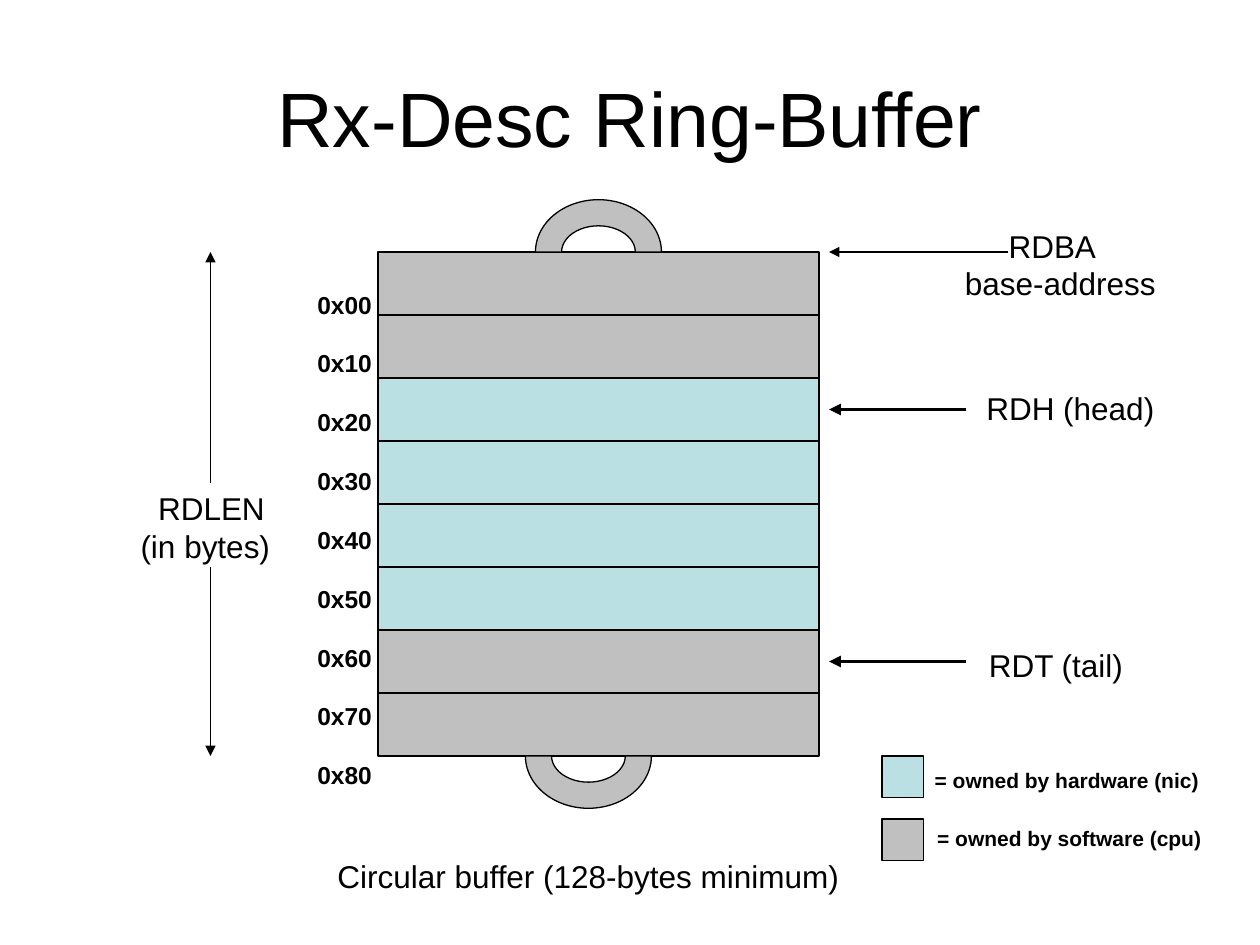
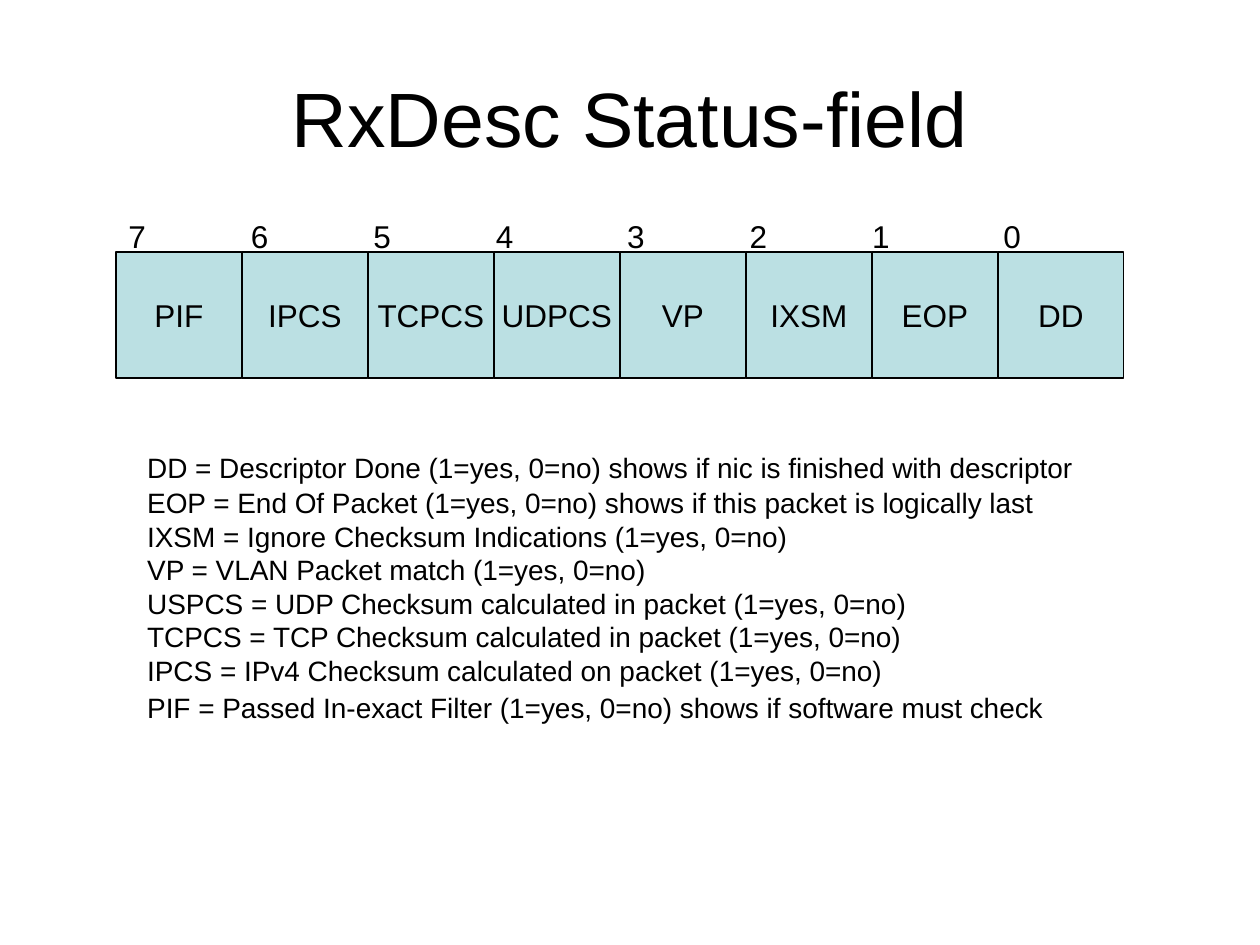
from itertools import accumulate
from lxml.etree import SubElement
from pptx import Presentation
from pptx.dml.color import RGBColor
from pptx.enum.shapes import MSO_CONNECTOR, MSO_SHAPE
from pptx.enum.text import MSO_ANCHOR, MSO_AUTO_SIZE, PP_ALIGN
from pptx.oxml.ns import qn
from pptx.util import Inches, Pt

# Shared style
COLORS = {"ink": "000000", "hardware": "BBE0E3", "software": "C0C0C0"}
FONT = "Arial"
WIDTH, HEIGHT = 10, 7.5
TITLE_BOX = (0.05 * WIDTH, 0.04 * HEIGHT, 0.9 * WIDTH, 1.25)

# Ring buffer: content
RING_TITLE = "Rx-Desc Ring-Buffer"
OWNERS = ["software"] * 2 + ["hardware"] * 4 + ["software"] * 2
OFFSETS = [f"0x{row}0" for row in range(len(OWNERS) + 1)]
RING_LEFT, RING_TOP, RING_WIDTH, ROW = 3, 2, 3.5, 0.5
RING_BOTTOM = RING_TOP + ROW * len(OWNERS)
ARC_WIDTH, ARC_HEIGHT = 1, 0.83
ARCS = [(4.25, RING_TOP, 0), (4.17, RING_BOTTOM, 180)]  # left, middle, rotation
POINTER_END, LENGTH_X = 6.58, 1.67
ARROWS = [  # start, end, line width
    ((8, RING_TOP), (POINTER_END, RING_TOP), 1.5),
    ((LENGTH_X, 3.83), (LENGTH_X, RING_TOP), 0.75),
    ((LENGTH_X, 4.5), (LENGTH_X, RING_BOTTOM), 0.75),
    ((7.67, RING_TOP + 2.5 * ROW), (POINTER_END, RING_TOP + 2.5 * ROW), 2.25),
    ((7.67, RING_TOP + 6.5 * ROW), (POINTER_END, RING_TOP + 6.5 * ROW), 2.25),
]
RING_LABELS = [  # box, lines, format
    ((2.58, 6.75, 4.3, 0.4), ["Circular buffer (128-bytes minimum)"], {}),
    ((7.42, 1.75, 1.9, 0.7), ["RDBA", "base-address"], {"indents": [35, 10]}),
    ((0.67, 3.83, 1.6, 0.7), ["RDLEN", "(in bytes)"], {"indents": [35, 25]}),
    ((7.73, 3.04, 1.6, 0.4), ["RDH (head)"], {}),
    ((7.75, 5.08, 1.35, 0.4), ["RDT (tail)"], {}),
    ((7.32, 6.04, 2.4, 0.3), ["= owned by hardware (nic)"], {"size": 12, "bold": True}),
    ((7.34, 6.5, 2.4, 0.3), ["= owned by software (cpu)"], {"size": 12, "bold": True}),
    ((2.42, 2.25, 0.7, 4.07), OFFSETS,
     {"size": 14, "bold": True, "gaps": [0] + [16.8] * (len(OFFSETS) - 1)}),
]
LEGEND = ["hardware", "software"]
LEGEND_LEFT, LEGEND_SIDE = 7, 0.33

# Status field: content
STATUS_TITLE = "RxDesc Status-field"
FLAGS = ["PIF", "IPCS", "TCPCS", "UDPCS", "VP", "IXSM", "EOP", "DD"]
FIELD_LEFT, FIELD_TOP, CELL = 0.92, 2, 1
BIT_STEPS = [70, 70, 70, 75, 70, 70, 75]
MEANINGS = [
    "DD = Descriptor Done (1=yes, 0=no) shows if nic is finished with descriptor",
    "EOP = End Of Packet (1=yes, 0=no) shows if this packet is logically last",
    "IXSM = Ignore Checksum Indications (1=yes, 0=no)",
    "VP = VLAN Packet match (1=yes, 0=no)",
    "USPCS = UDP Checksum calculated in packet (1=yes, 0=no)",
    "TCPCS = TCP Checksum calculated in packet (1=yes, 0=no)",
    "IPCS = IPv4 Checksum calculated on packet (1=yes, 0=no)",
    "PIF = Passed In-exact Filter (1=yes, 0=no) shows if software must check",
]


def color(name):
    return RGBColor.from_string(COLORS[name])


def write(shape, lines, size=18, bold=False, align=PP_ALIGN.LEFT,
          anchor=MSO_ANCHOR.TOP, wrap=True, indents=(), gaps=(), tabs=()):
    frame = shape.text_frame
    frame_format = {"auto_size": MSO_AUTO_SIZE.NONE, "word_wrap": wrap,
                    "vertical_anchor": anchor}
    for name, value in frame_format.items():
        setattr(frame, name, value)
    frame.text = "\n".join(lines)
    for index, paragraph in enumerate(frame.paragraphs):
        paragraph.alignment = align
        properties = paragraph._p.get_or_add_pPr()
        if indents:
            properties.set("marL", str(Pt(indents[index])))
        if gaps and gaps[index]:
            paragraph.space_before = Pt(gaps[index])
        if tabs:
            tab_list = SubElement(properties, qn("a:tabLst"))
            for stop in tabs:
                SubElement(tab_list, qn("a:tab"), pos=str(Pt(stop)), algn="l")
        for name, value in {"name": FONT, "size": Pt(size), "bold": bold}.items():
            setattr(paragraph.font, name, value)
        paragraph.font.color.rgb = color("ink")


def add_text(slide, box, lines, **text_format):
    shape = slide.shapes.add_textbox(*map(Inches, box))
    write(shape, lines, **text_format)


def add_block(slide, box, fill, kind=MSO_SHAPE.RECTANGLE):
    shape = slide.shapes.add_shape(kind, *map(Inches, box))
    shape.shadow.inherit = False
    shape.fill.solid()
    shape.fill.fore_color.rgb = color(fill)
    shape.line.color.rgb = color("ink")
    shape.line.width = Pt(0.75)
    return shape


def add_arrow(slide, start, end, width):
    arrow = slide.shapes.add_connector(MSO_CONNECTOR.STRAIGHT, *map(Inches, start + end))
    arrow.line.color.rgb = color("ink")
    arrow.line.width = Pt(width)
    SubElement(arrow.line._get_or_add_ln(), qn("a:tailEnd"), type="triangle")
    SubElement(arrow._element.spPr, qn("a:effectLst"))


def add_titled_slide(presentation, title):
    slide = presentation.slides.add_slide(presentation.slide_layouts[6])
    add_text(slide, TITLE_BOX, [title], size=44, align=PP_ALIGN.CENTER,
             anchor=MSO_ANCHOR.MIDDLE)
    return slide


def build_ring(presentation):
    slide = add_titled_slide(presentation, RING_TITLE)
    # Descriptors
    for row, owner in enumerate(OWNERS):
        add_block(slide, (RING_LEFT, RING_TOP + row * ROW, RING_WIDTH, ROW), owner)
    # Loops that close the ring
    for left, middle, rotation in ARCS:
        arc = add_block(slide, (left, middle - ARC_HEIGHT / 2, ARC_WIDTH, ARC_HEIGHT),
                        "software", MSO_SHAPE.BLOCK_ARC)
        arc.rotation = rotation
    # Pointers, legend and labels
    for arrow in ARROWS:
        add_arrow(slide, *arrow)
    for row, owner in enumerate(LEGEND):
        add_block(slide, (LEGEND_LEFT, RING_BOTTOM + row * ROW, LEGEND_SIDE, LEGEND_SIDE),
                  owner)
    for box, lines, text_format in RING_LABELS:
        add_text(slide, box, lines, **text_format)


def build_status(presentation):
    slide = add_titled_slide(presentation, STATUS_TITLE)
    # Flags in the status byte
    for column, flag in enumerate(FLAGS):
        cell = add_block(slide, (FIELD_LEFT + column * CELL, FIELD_TOP, CELL, CELL),
                         "hardware")
        write(cell, [flag], align=PP_ALIGN.CENTER, anchor=MSO_ANCHOR.MIDDLE, wrap=False)
    # Bit numbers
    bits = "\t".join(str(bit) for bit in reversed(range(len(FLAGS))))
    add_text(slide, (FIELD_LEFT, 1.67, 8.05, 0.4), [bits],
             tabs=list(accumulate(BIT_STEPS)))
    # Meanings
    add_text(slide, (1.07, 3.53, 7.7, 2.25), MEANINGS, size=16,
             gaps=[0, 0.5] + [0] * (len(MEANINGS) - 3) + [2])


def main():
    presentation = Presentation()
    presentation.slide_width = Inches(WIDTH)
    presentation.slide_height = Inches(HEIGHT)
    build_ring(presentation)
    build_status(presentation)
    presentation.save("out.pptx")


if __name__ == "__main__":
    main()
